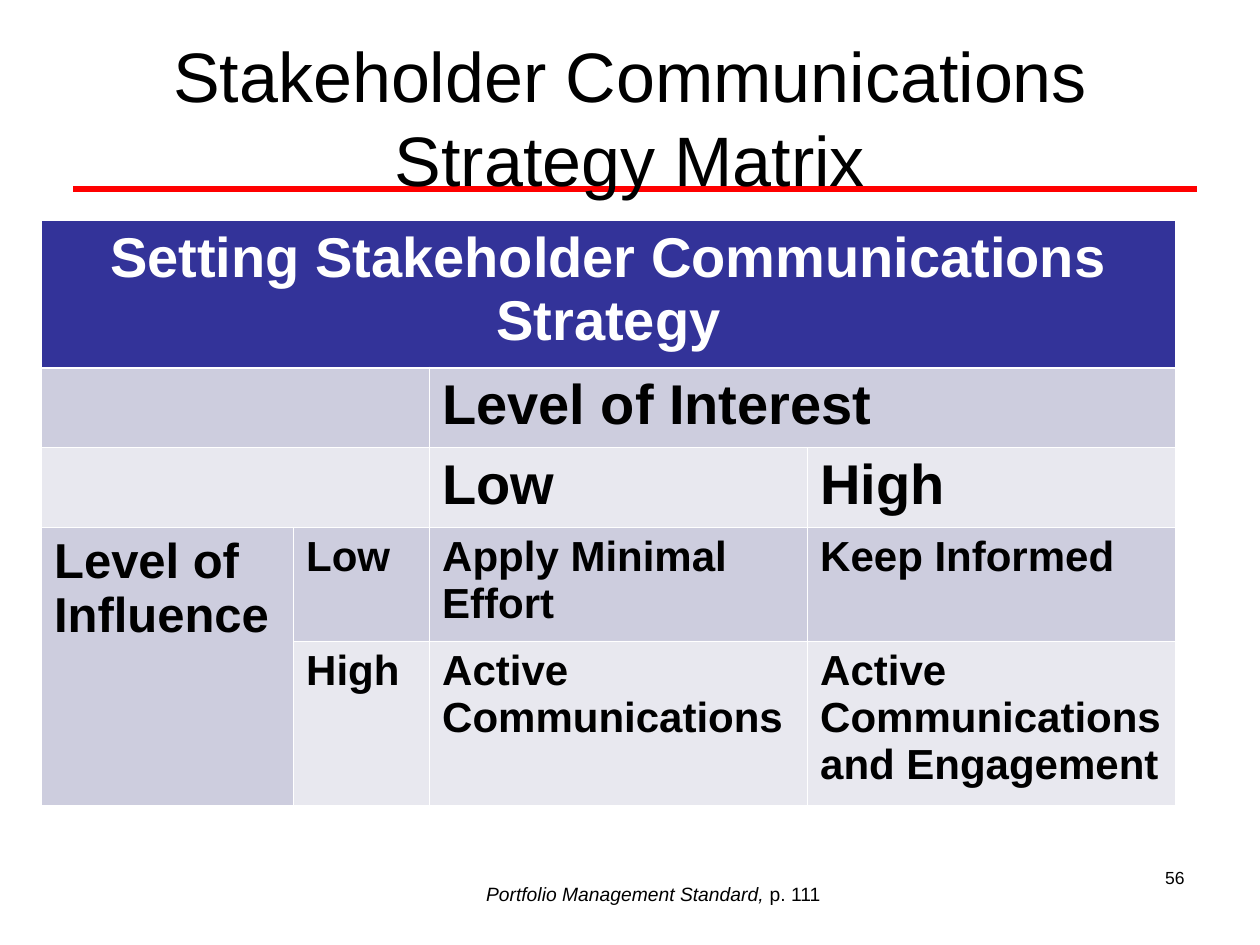
import pptx
import pptx.dml.color
import pptx.enum.shapes
import pptx.enum.text
import pptx.oxml
import pptx.oxml.ns
import pptx.util
from dataclasses import dataclass
from typing import Optional

Inches = pptx.util.Inches
Pt = pptx.util.Pt
Align = pptx.enum.text.PP_ALIGN
Anchor = pptx.enum.text.MSO_ANCHOR


@dataclass(frozen=True)
class Theme:
    font: str = "Arial"
    black: str = "000000"
    white: str = "FFFFFF"
    red: str = "FF0000"
    navy: str = "333399"
    dark: str = "CDCDDE"
    light: str = "E8E8EF"
    title: int = 40
    head: int = 32
    side: int = 28
    body: int = 24
    note: int = 11
    page: int = 10
    thin: float = 0.45
    thick: float = 1.47


@dataclass(frozen=True)
class Run:
    text: str
    size: int
    color: str = "000000"
    bold: bool = False
    italic: bool = False


@dataclass(frozen=True)
class Cell:
    row: int
    col: int
    text: str = ""
    size: int = 24
    rows: int = 1
    cols: int = 1


@dataclass(frozen=True)
class Box:
    left: float
    top: float
    width: float
    height: float
    runs: tuple[Run, ...]
    align: Optional[Align] = None
    anchor: Anchor = Anchor.TOP
    wrap: bool = True


THEME = Theme()
COLS = (2, 1.08, 3, 2.92)
ROWS = (1.17, 0.63, 0.63, 0.9, 1.3)
FILLS = (THEME.navy, THEME.dark, THEME.light, THEME.dark, THEME.light)

CELLS = (
    Cell(0, 0, "Setting Stakeholder Communications Strategy", THEME.head, cols=4),
    Cell(1, 0, cols=2),
    Cell(1, 2, "Level of Interest", THEME.head, cols=2),
    Cell(2, 0, cols=2),
    Cell(2, 2, "Low", THEME.head),
    Cell(2, 3, "High", THEME.head),
    Cell(3, 0, "Level of Influence", THEME.side, rows=2),
    Cell(3, 1, "Low"),
    Cell(3, 2, "Apply Minimal Effort"),
    Cell(3, 3, "Keep Informed"),
    Cell(4, 1, "High"),
    Cell(4, 2, "Active Communications"),
    Cell(4, 3, "Active Communications and Engagement"),
)

BOXES = (
    Box(7.17, 6.83, 2.33, 0.52, (Run("56", THEME.page),), Align.RIGHT),
    Box(3.76, 6.95, 2.87, 0.29,
        (Run("Portfolio Management Standard, ", THEME.note, italic=True),
         Run("p. 111", THEME.note)), wrap=False),
)


def rgb(code: str) -> pptx.dml.color.RGBColor:
    return pptx.dml.color.RGBColor.from_string(code)


def write(par, runs: tuple[Run, ...], align: Optional[Align] = None) -> None:
    par.alignment = align
    for item in runs:
        run = par.add_run()
        run.text = item.text
        font = run.font
        font.name, font.size = THEME.font, Pt(item.size)
        font.bold, font.italic = item.bold, item.italic
        font.color.rgb = rgb(item.color)


def fill_frame(frame, box: Box) -> None:
    frame.word_wrap = box.wrap
    frame.vertical_anchor = box.anchor
    write(frame.paragraphs[0], box.runs, box.align)


def add_box(slide, box: Box) -> None:
    shape = slide.shapes.add_textbox(
        Inches(box.left), Inches(box.top), Inches(box.width), Inches(box.height))
    if not box.wrap:
        shape.text_frame.auto_size = pptx.enum.text.MSO_AUTO_SIZE.SHAPE_TO_FIT_TEXT
    fill_frame(shape.text_frame, box)


def add_rule(slide) -> None:
    rule = slide.shapes.add_connector(
        pptx.enum.shapes.MSO_CONNECTOR.STRAIGHT,
        Inches(0.58), Inches(1.5), Inches(9.5), Inches(1.5))
    rule.line.color.rgb = rgb(THEME.red)
    rule.line.width = Pt(3)
    rule._element.spPr.append(pptx.oxml.parse_xml(
        f'<a:effectLst {pptx.oxml.ns.nsdecls("a")}/>'))


def set_edges(cell, row: int) -> None:
    # The heavier edge divides the heading from the rows below
    heavy = {0: "B", 1: "T"}.get(row)
    props = cell._tc.get_or_add_tcPr()
    for side in "LRTB":
        width = Pt(THEME.thick if side == heavy else THEME.thin)
        props.append(pptx.oxml.parse_xml(
            f'<a:ln{side} {pptx.oxml.ns.nsdecls("a")} w="{int(width)}">'
            f'<a:solidFill><a:srgbClr val="{THEME.white}"/></a:solidFill>'
            f'</a:ln{side}>'))


def add_matrix(slide) -> None:
    grid = slide.shapes.add_table(
        len(ROWS), len(COLS), Inches(0.33), Inches(1.75),
        Inches(sum(COLS)), Inches(sum(ROWS))).table
    grid.first_row = grid.horz_banding = False
    for col, width in zip(grid.columns, COLS):
        col.width = Inches(width)
    for num, (row, height) in enumerate(zip(grid.rows, ROWS)):
        row.height = Inches(height)
        for cell in row.cells:
            set_edges(cell, num)
            cell.fill.solid()
            cell.fill.fore_color.rgb = rgb(FILLS[num])
    for item in CELLS:
        cell = grid.cell(item.row, item.col)
        if item.rows * item.cols > 1:
            cell.merge(grid.cell(item.row + item.rows - 1,
                                 item.col + item.cols - 1))
        if item.text:
            top = item.row == 0
            color = THEME.white if top else THEME.black
            write(cell.text_frame.paragraphs[0],
                  (Run(item.text, item.size, color, bold=True),),
                  Align.CENTER if top else None)


def main() -> None:
    deck = pptx.Presentation()
    deck.slide_width, deck.slide_height = Inches(10), Inches(7.5)
    slide = deck.slides.add_slide(deck.slide_layouts[6])

    # Title over its red rule
    add_rule(slide)
    add_box(slide, Box(
        0.5, 0.3, 9, 1.25,
        (Run("Stakeholder Communications Strategy Matrix", THEME.title),),
        Align.CENTER, Anchor.MIDDLE))

    # Strategy matrix
    add_matrix(slide)

    # Page number and citation
    for box in BOXES:
        add_box(slide, box)

    deck.save("out.pptx")


if __name__ == "__main__":
    main()
